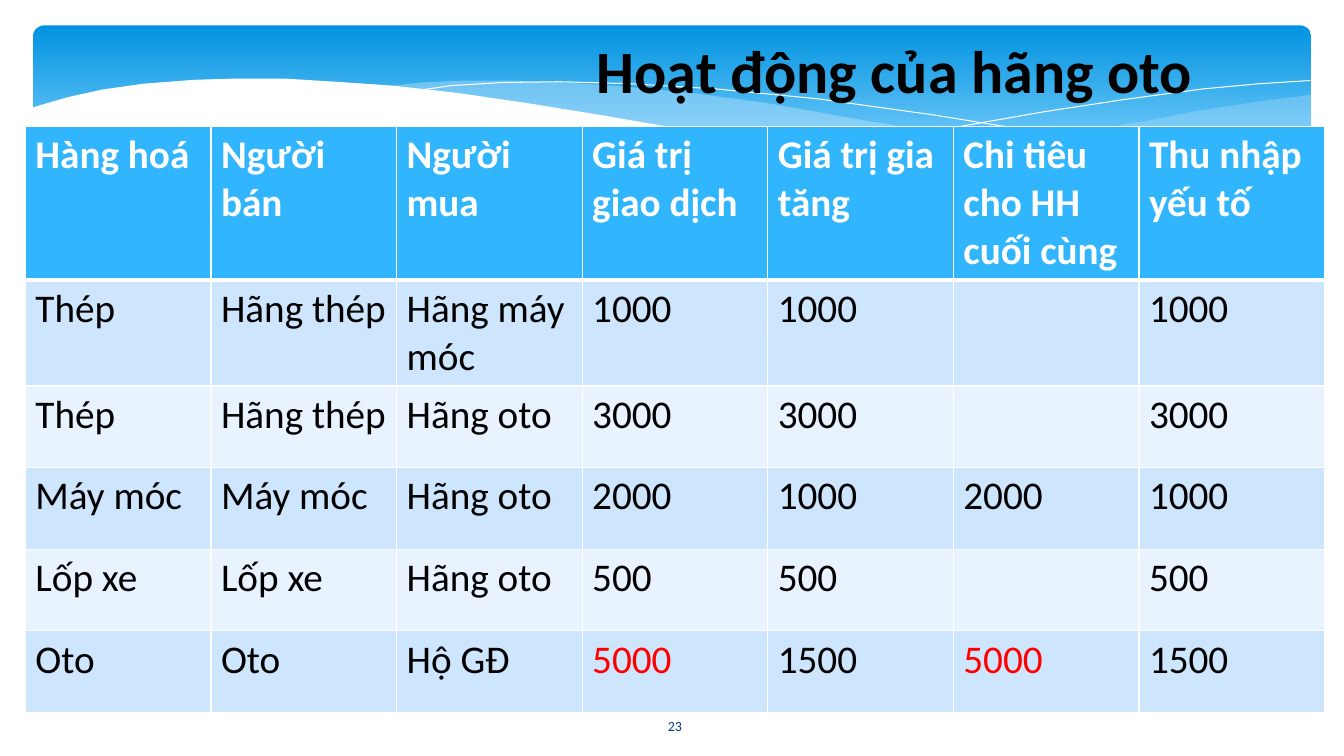
from lxml import etree
from pptx import Presentation
from pptx.dml.color import RGBColor
from pptx.enum.shapes import MSO_SHAPE
from pptx.enum.text import MSO_ANCHOR, MSO_AUTO_SIZE, PP_ALIGN
from pptx.oxml.ns import qn
from pptx.util import Cm, Pt

CENTER = PP_ALIGN.CENTER
TOP, MIDDLE = MSO_ANCHOR.TOP, MSO_ANCHOR.MIDDLE
NO_AUTOFIT = MSO_AUTO_SIZE.NONE
ROUND_RECT = MSO_SHAPE.ROUNDED_RECTANGLE
FONT = "Calibri"
COLORS = {
    "band_top": "0293E0", "band_bottom": "83D3FE", "wave": "C6E7FC",
    "white": "FFFFFF", "black": "000000", "red": "FF0000",
    "header": "31B6FD", "odd_row": "CEE5FE", "even_row": "E8F3FF",
    "number": "073E87",
}

# Curve points in cm, for a band whose top left corner is at BAND_ORIGIN.
BAND_ORIGIN = (0.84, 0.64)
RIGHT_WAVE = [
    (33.05, 2.39), (31.65, 2.57), (30.18, 2.79), (29.13, 3), (27.25, 3.33),
    (24.69, 3.73), (22.4, 4.06), (24.33, 4.24), (26.44, 4.37), (28.27, 4.37),
    (30.12, 4.22), (31.67, 3.96), (33.05, 3.61)]
MIDDLE_WAVE = [
    (30.23, 4.24), (27.33, 3.91), (23.9, 3.4), (21.31, 2.95), (19.28, 2.59),
    (17.42, 2.34), (15.72, 2.18), (14.22, 2.08), (12.85, 2.03), (11.66, 2.03),
    (10.62, 2.08), (9.7, 2.18), (11.58, 2.39), (13.69, 2.69), (15.21, 2.95),
    (17.93, 3.43), (20.37, 3.81), (23.04, 4.14), (25.35, 4.32), (27.69, 4.39),
    (29.36, 4.32)]
FALLING_LINE = [
    (10.46, 2.29), (11.35, 2.16), (12.67, 2.08), (14.1, 2.06), (15.88, 2.11),
    (18.03, 2.24), (20.6, 2.49), (23.55, 2.9), (26.92, 3.45), (30.73, 4.22)]
RISING_LINE = [
    (20.78, 3.84), (23.55, 3.3), (26.29, 2.82), (28.32, 2.51), (30.33, 2.24),
    (31.75, 2.11), (33.02, 2.03)]
WHITE_WAVE = [
    (33.1, 3.56), (31.85, 3.91), (30.43, 4.17), (28.35, 4.34), (25.78, 4.32),
    (23.32, 4.11), (20.42, 3.78), (17.93, 3.38), (15.14, 2.9), (13.23, 2.59),
    (11.51, 2.34), (9.91, 2.16), (8.46, 2.06), (7.16, 1.98), (5.97, 1.98),
    (4.93, 2.01), (3.61, 2.11), (2.57, 2.26), (1.75, 2.44), (1.22, 2.59),
    (0.79, 2.72), (0.79, 5.69), (33.1, 5.69)]

TITLE = "Hoạt động của hãng oto"
ROWS = [
    ["Hàng hoá", "Người bán", "Người mua", "Giá trị giao dịch",
     "Giá trị gia tăng", "Chi tiêu cho HH cuối cùng", "Thu nhập yếu tố"],
    ["Thép", "Hãng thép", "Hãng máy móc", "1000", "1000", "", "1000"],
    ["Thép", "Hãng thép", "Hãng oto", "3000", "3000", "", "3000"],
    ["Máy móc", "Máy móc", "Hãng oto", "2000", "1000", "2000", "1000"],
    ["Lốp xe", "Lốp xe", "Hãng oto", "500", "500", "", "500"],
    ["Oto", "Oto", "Hộ GĐ", "5000", "1500", "5000", "1500"],
]
RED_VALUE = "5000"


def rgb(name):
    return RGBColor.from_string(COLORS[name])


def format_text(p, size, color, bold=False):
    for r in p.runs:
        r.font.name, r.font.size, r.font.bold = FONT, Pt(size), bold
        r.font.color.rgb = rgb(color)


def add_curve(s, origin, points, fill=None, opacity=100):
    """Draw a filled wave, or an open white hairline when there is no fill."""
    units = [(round(x * 100), round(y * 100)) for x, y in points]
    builder = s.shapes.build_freeform(*units[0], scale=Cm(0.01))
    builder.add_line_segments(units[1:], close=fill is not None)
    sp = builder.convert_to_shape(*origin)
    sp.shadow.inherit = False
    if fill is None:
        sp.fill.background()
        sp.line.color.rgb = rgb("white")
        sp.line.width = Pt(0)
        return
    sp.line.fill.background()
    sp.fill.solid()
    sp.fill.fore_color.rgb = rgb(fill)
    if opacity < 100:
        color = sp.element.spPr.find(qn("a:solidFill"))[0]
        etree.SubElement(color, qn("a:alpha"), val=str(opacity * 1000))


def add_band(s, left, top, width, height):
    sp = s.shapes.add_shape(ROUND_RECT, left, top, width, height)
    sp.adjustments[0] = 0.07
    sp.shadow.inherit = False
    sp.line.fill.background()
    sp.fill.gradient()
    sp.fill.gradient_angle = 270
    stops = zip(sp.fill.gradient_stops, ("band_top", "band_bottom"), (0, 0.9))
    for stop, color, position in stops:
        stop.color.rgb = rgb(color)
        stop.position = position
    origin = (left - Cm(BAND_ORIGIN[0]), top - Cm(BAND_ORIGIN[1]))
    add_curve(s, origin, RIGHT_WAVE, "wave", 29)
    add_curve(s, origin, MIDDLE_WAVE, "wave", 40)
    add_curve(s, origin, FALLING_LINE)
    add_curve(s, origin, RISING_LINE)
    add_curve(s, origin, WHITE_WAVE, "white")


def place_title(s, left, top, width, height):
    """Fill the title placeholder and bring it in front of the band."""
    title = s.shapes.title
    title.left, title.top, title.width, title.height = left, top, width, height
    tf = title.text_frame
    tf.text = TITLE
    tf.auto_size, tf.vertical_anchor = NO_AUTOFIT, TOP
    p = tf.paragraphs[0]
    p.alignment = CENTER
    format_text(p, 42.9, "black", True)
    title.element.getparent().append(title.element)


def add_number(s, left, top, width, height):
    tf = s.shapes.add_textbox(left, top, width, height).text_frame
    tf.word_wrap = True
    tf.vertical_anchor = MIDDLE
    tf.text = "23"
    p = tf.paragraphs[0]
    p.alignment = CENTER
    format_text(p, 10, "number")


def set_borders(cell, widths):
    tc_pr = cell._tc.get_or_add_tcPr()
    for i, (side, width) in enumerate(widths.items()):
        ln = etree.Element(qn(f"a:ln{side}"), w=str(Pt(width)))
        fill = etree.SubElement(ln, qn("a:solidFill"))
        etree.SubElement(fill, qn("a:srgbClr"), val=COLORS["white"])
        tc_pr.insert(i, ln)


def add_value_table(s, left, top, width, height):
    table = s.shapes.add_table(
        len(ROWS), len(ROWS[0]), left, top, width, height).table
    for i, row in enumerate(ROWS):
        header = i == 0
        fill = "header" if header else "odd_row" if i % 2 else "even_row"
        for j, text in enumerate(row):
            cell = table.cell(i, j)
            cell.text = text
            cell.fill.solid()
            cell.fill.fore_color.rgb = rgb(fill)
            color = ("white" if header
                     else "red" if text == RED_VALUE else "black")
            format_text(cell.text_frame.paragraphs[0], 28, color, header)
            set_borders(cell, {"L": 1, "R": 1, "T": 3 if i == 1 else 1,
                               "B": 3 if header else 1})


def main():
    prs = Presentation()
    prs.slide_width, prs.slide_height = Cm(33.87), Cm(19.05)
    s = prs.slides.add_slide(prs.slide_layouts[5])
    add_band(s, Cm(0.84), Cm(0.64), Cm(32.2), Cm(3.96))
    add_number(s, Cm(14.86), Cm(17.78), Cm(4.3), Cm(1.02))
    place_title(s, Cm(10.36), Cm(0.71), Cm(24.36), Cm(3.48))
    add_value_table(s, Cm(0.64), Cm(3.18), Cm(32.74), Cm(12.34))
    prs.save("out.pptx")


if __name__ == "__main__":
    main()
